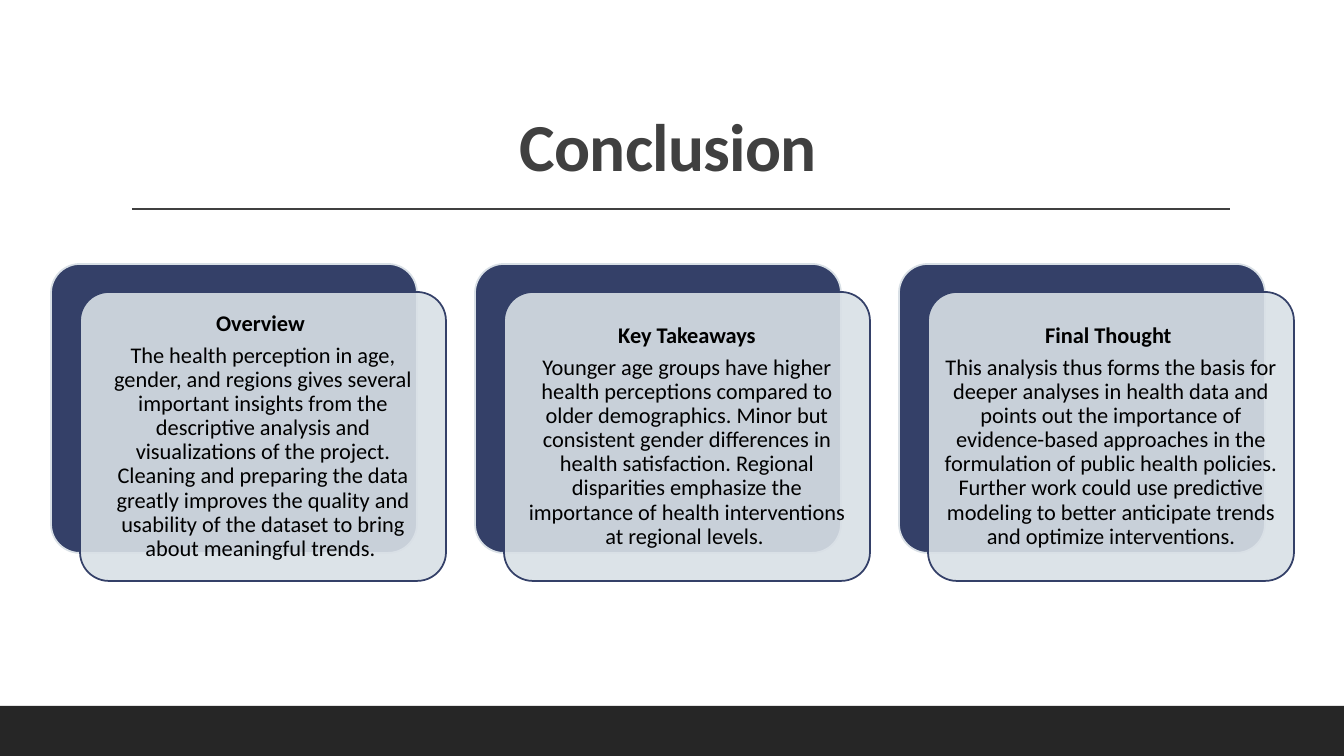
"""Build the Conclusion slide: a ruled title above three layered cards."""
from lxml import etree
from pptx import Presentation
from pptx.dml.color import RGBColor
from pptx.enum.shapes import MSO_CONNECTOR, MSO_SHAPE
from pptx.enum.text import MSO_ANCHOR, PP_ALIGN
from pptx.oxml.ns import qn
from pptx.util import Pt

TITLE = "Conclusion "
CARDS = [
    ("Overview ",
     "The health perception in age, gender, and regions gives several important "
     "insights from the descriptive analysis and visualizations of the project. "
     "Cleaning and preparing the data greatly improves the quality and usability "
     "of the dataset to bring about meaningful trends. "),
    ("Key Takeaways",
     "Younger age groups have higher health perceptions compared to older "
     "demographics. Minor but consistent gender differences in health "
     "satisfaction. Regional disparities emphasize the importance of health "
     "interventions at regional levels. "),
    ("Final Thought ",
     "This analysis thus forms the basis for deeper analyses in health data and "
     "points out the importance of evidence-based approaches in the formulation "
     "of public health policies. Further work could use predictive modeling to "
     "better anticipate trends and optimize interventions."),
]

FONT = "Calibri"
BLACK = RGBColor(0x00, 0x00, 0x00)
CHARCOAL = RGBColor(0x40, 0x40, 0x40)
FOOTER = RGBColor(0x26, 0x26, 0x26)
NAVY = RGBColor(0x34, 0x40, 0x68)
MIST = RGBColor(0xD9, 0xE0, 0xE6)

RECTANGLE = MSO_SHAPE.RECTANGLE
ROUNDED = MSO_SHAPE.ROUNDED_RECTANGLE
STRAIGHT = MSO_CONNECTOR.STRAIGHT
CENTER = PP_ALIGN.CENTER
MIDDLE = MSO_ANCHOR.MIDDLE
BOTTOM = MSO_ANCHOR.BOTTOM

WIDTH, HEIGHT = 1344, 756
CARD_LEFT, CARD_TOP, CARD_PITCH = 51, 264, 424
CARD_WIDTH, CARD_HEIGHT = 366, 289
PANEL_SHIFT = 29, 28
PANEL_INSET = 7


def px(length):
    """Turn px into EMU."""
    return round(length * 914400 / 100.8)


def add_block(slide, kind, box, fill, line=None):
    """Add a filled shape, outlined when a line colour is given."""
    shape = slide.shapes.add_shape(kind, *map(px, box))
    shape.shadow.inherit = False
    shape.fill.solid()
    shape.fill.fore_color.rgb = fill
    if line is None:
        shape.line.fill.background()
    else:
        shape.line.color.rgb = line
        shape.line.width = Pt(1.25)
    return shape


def add_text(paragraph, text, size, color, bold):
    """Write one centred run into a paragraph."""
    paragraph.alignment = CENTER
    paragraph.line_spacing = 0.9
    run = paragraph.add_run()
    run.text = text
    run.font.name = FONT
    run.font.size = Pt(size)
    run.font.bold = bold
    run.font.color.rgb = color
    return run


def add_title(slide):
    """Add the title and the rule below it."""
    box = slide.shapes.add_textbox(px(121), px(31), px(1109), px(160))
    frame = box.text_frame
    frame.word_wrap = True
    frame.vertical_anchor = BOTTOM
    run = add_text(frame.paragraphs[0], TITLE, 48, CHARCOAL, True)
    run.font._element.set("spc", "-50")

    rule = slide.shapes.add_connector(STRAIGHT, px(132), px(209), px(1230), px(209))
    rule.line.color.rgb = CHARCOAL
    rule.line.width = Pt(1)
    etree.SubElement(rule._element.spPr, qn("a:effectLst"))


def add_card(slide, index, heading, body):
    """Add a navy backing and a translucent panel holding the text."""
    left = CARD_LEFT + index * CARD_PITCH
    size = CARD_WIDTH, CARD_HEIGHT
    shift_x, shift_y = PANEL_SHIFT
    backing = add_block(slide, ROUNDED, (left, CARD_TOP, *size), NAVY, MIST)
    panel = add_block(
        slide, ROUNDED, (left + shift_x, CARD_TOP + shift_y, *size), MIST, NAVY)
    for shape in (backing, panel):
        shape.adjustments[0] = 0.1
    color = panel._element.spPr.find(qn("a:solidFill"))[0]
    etree.SubElement(color, qn("a:alpha")).set("val", "90000")

    frame = panel.text_frame
    frame.word_wrap = True
    frame.vertical_anchor = MIDDLE
    frame.margin_left = frame.margin_right = px(PANEL_INSET)
    frame.margin_top = frame.margin_bottom = px(PANEL_INSET)
    for paragraph, text, bold in (
            (frame.paragraphs[0], heading, True),
            (frame.add_paragraph(), body, False)):
        paragraph.space_after = Pt(5.6)
        add_text(paragraph, text, 16, BLACK, bold)


def main():
    """Assemble and save the slide."""
    presentation = Presentation()
    presentation.slide_width = px(WIDTH)
    presentation.slide_height = px(HEIGHT)
    slide = presentation.slides.add_slide(presentation.slide_layouts[6])
    add_title(slide)
    add_block(slide, RECTANGLE, (0, 706, WIDTH, HEIGHT - 706), FOOTER)
    for index, (heading, body) in enumerate(CARDS):
        add_card(slide, index, heading, body)
    presentation.save("out.pptx")


if __name__ == "__main__":
    main()
